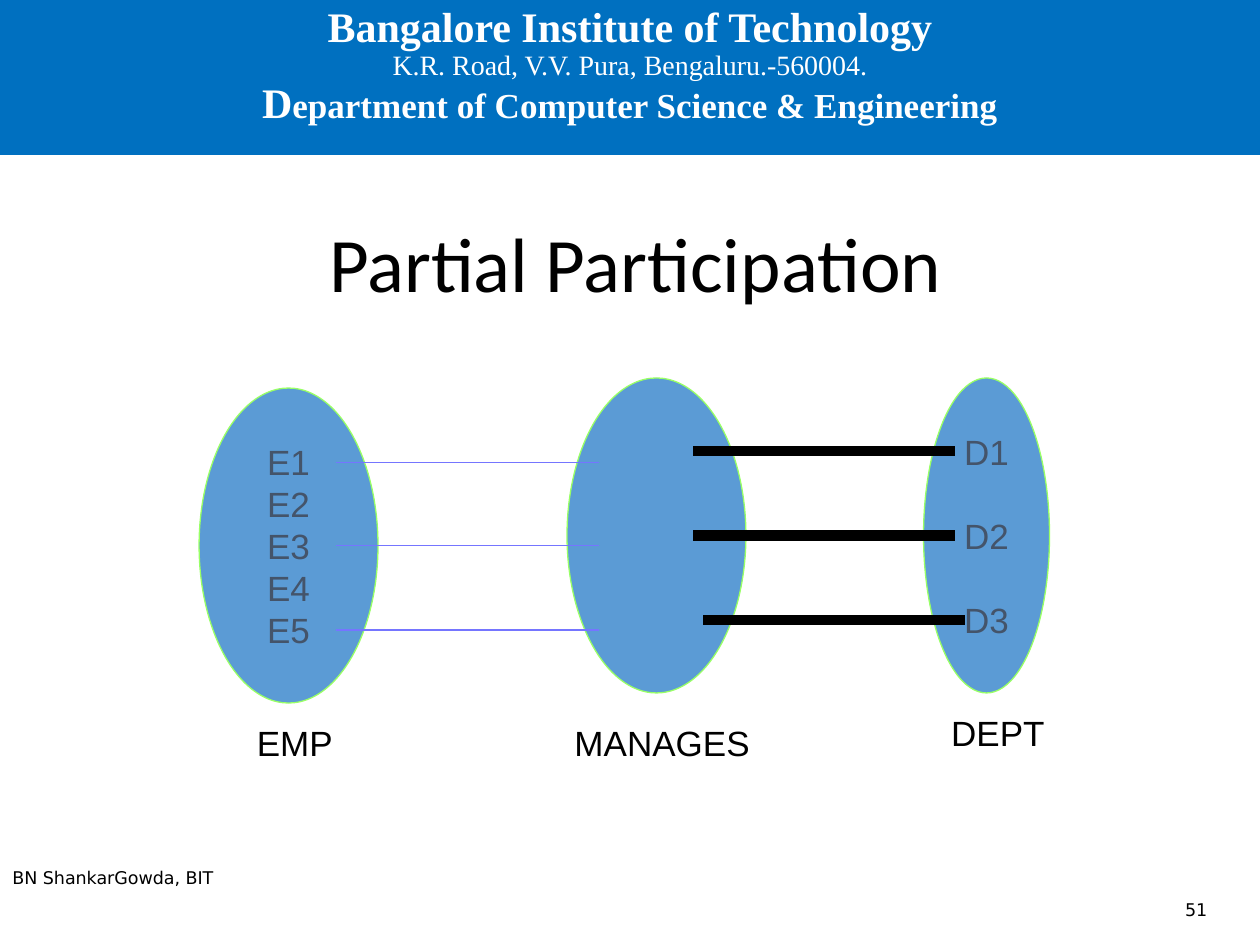
import copy
from dataclasses import dataclass

import pptx
import pptx.dml.color
import pptx.enum.shapes
import pptx.enum.text
import pptx.oxml.xmlchemy
import pptx.util

Inches, Pt = pptx.util.Inches, pptx.util.Pt
RGB = pptx.dml.color.RGBColor
ALIGN, ANCHOR = pptx.enum.text.PP_ALIGN, pptx.enum.text.MSO_ANCHOR
FIT = pptx.enum.text.MSO_AUTO_SIZE
SHAPE = pptx.enum.shapes.MSO_SHAPE

BANNER = RGB(0x00, 0x70, 0xC0)
WHITE = RGB(0xFF, 0xFF, 0xFF)
BLACK = RGB(0x00, 0x00, 0x00)
BLUE = RGB(0x5B, 0x9B, 0xD5)
GREEN = RGB(0x99, 0xFF, 0x66)
SLATE = RGB(0x44, 0x54, 0x6A)
VIOLET = RGB(0x75, 0x75, 0xFF)


@dataclass
class Entity:
    """An oval set of members."""
    left: float
    top: float
    width: float
    members: str = ""
    gap: float = 0


@dataclass
class Link:
    """A level line between two sets."""
    left: float
    y: float
    color: RGB
    weight: float


@dataclass
class Label:
    """A free line of text."""
    text: str
    box: tuple[float, float, float, float]
    font: str = "Arial"
    size: float = 20
    align: ALIGN = ALIGN.CENTER
    anchor: ANCHOR = ANCHOR.TOP
    wrap: bool = False


ENTITIES = [
    Entity(1.58, 3.08, 1.42, "E1\nE2\nE3\nE4\nE5"),
    Entity(4.5, 3, 1.42),
    Entity(7.33, 3, 1, "D1\nD2\nD3", gap=24),
]
LINKS = [Link(2.67, y, VIOLET, 0.75) for y in (3.67, 4.33, 5)]
LINKS += [Link(x, y, BLACK, 6) for x, y in ((5.5, 3.58), (5.5, 4.25), (5.58, 4.92))]
LABELS = [
    Label("EMP", (1.94, 5.68, 0.8, 0.44)),
    Label("MANAGES", (4.46, 5.68, 1.59, 0.44)),
    Label("DEPT", (7.45, 5.6, 0.94, 0.44)),
    Label("51", (7.43, 7.02, 2.25, 0.4), "DejaVu Sans", 10, ALIGN.RIGHT, ANCHOR.MIDDLE, True),
    Label("BN ShankarGowda, BIT", (0, 6.83, 3.17, 0.5), "DejaVu Sans", 10, ALIGN.LEFT, wrap=True),
]


def write(frame, text: str, *, font: str = "Arial", size: float = 20, color: RGB = BLACK,
          bold: bool = False, align: ALIGN = ALIGN.CENTER, anchor: ANCHOR = ANCHOR.TOP,
          space=None, gap: float = 0, wrap: bool = True) -> None:
    """Add text to the last paragraph; each newline starts another one."""
    frame.auto_size = FIT.NONE
    frame.word_wrap = wrap
    frame.vertical_anchor = anchor
    for i, line in enumerate(text.split("\n")):
        para = frame.add_paragraph() if i else frame.paragraphs[-1]
        para.alignment = align
        para.line_spacing = space
        if i and gap:
            para.space_before = Pt(gap)
        run = para.add_run()
        run.text = line
        run.font.name, run.font.size = font, Pt(size)
        run.font.bold, run.font.color.rgb = bold, color


def wrap_line(frame) -> None:
    """Break the line, keeping the size of the run before it."""
    para = frame.paragraphs[-1]
    last = para.runs[-1].font._element
    para.add_line_break()
    para._p[-1].append(copy.deepcopy(last))


def draw_shape(slide, kind: SHAPE, box: tuple, fill: RGB, line: RGB | None = None):
    shape = slide.shapes.add_shape(kind, *map(Inches, box))
    shape.shadow.inherit = False
    shape.fill.solid()
    shape.fill.fore_color.rgb = fill
    if line is None:
        shape.line.fill.background()
    else:
        shape.line.color.rgb, shape.line.width = line, Pt(0.75)
    return shape


def draw_entity(slide, item: Entity) -> None:
    box = (item.left, item.top, item.width, 2.5)
    oval = draw_shape(slide, SHAPE.OVAL, box, BLUE, GREEN)
    if item.members:
        write(oval.text_frame, item.members, color=SLATE, anchor=ANCHOR.MIDDLE,
              space=Pt(24), gap=item.gap, wrap=False)


def draw_link(slide, item: Link) -> None:
    line = slide.shapes.add_connector(
        pptx.enum.shapes.MSO_CONNECTOR.STRAIGHT, Inches(item.left), Inches(item.y),
        Inches(item.left + 2.08), Inches(item.y))
    line.line.color.rgb, line.line.width = item.color, Pt(item.weight)
    line._element.spPr.append(pptx.oxml.xmlchemy.OxmlElement("a:effectLst"))


def draw_label(slide, item: Label) -> None:
    frame = slide.shapes.add_textbox(*map(Inches, item.box)).text_frame
    write(frame, item.text, font=item.font, size=item.size, align=item.align,
          anchor=item.anchor, wrap=item.wrap)


def main() -> None:
    deck = pptx.Presentation()
    deck.slide_width, deck.slide_height = Inches(10), Inches(7.5)
    slide = deck.slides.add_slide(deck.slide_layouts[5])

    # Banner
    frame = draw_shape(slide, SHAPE.RECTANGLE, (0, 0, 10, 1.23), BANNER).text_frame
    look = dict(font="Times New Roman", color=WHITE, space=0.9)
    write(frame, "Bangalore Institute of Technology", size=24, bold=True, **look)
    wrap_line(frame)
    write(frame, "K.R. Road, V.V. Pura, Bengaluru.-560004.", size=16, **look)
    wrap_line(frame)
    write(frame, "D", size=24, bold=True, **look)
    write(frame, "epartment of Computer Science & Engineering", size=20, bold=True, **look)

    # Title
    title = slide.shapes.title
    title.left, title.top = Inches(0.73), Inches(1.74)
    title.width, title.height = Inches(8.63), Inches(1.15)
    write(title.text_frame, "Partial Participation", font="Calibri", size=44, space=0.9)

    # Diagram and footer
    for item in ENTITIES:
        draw_entity(slide, item)
    for item in LINKS:
        draw_link(slide, item)
    for item in LABELS:
        draw_label(slide, item)

    deck.save("out.pptx")


if __name__ == "__main__":
    main()
